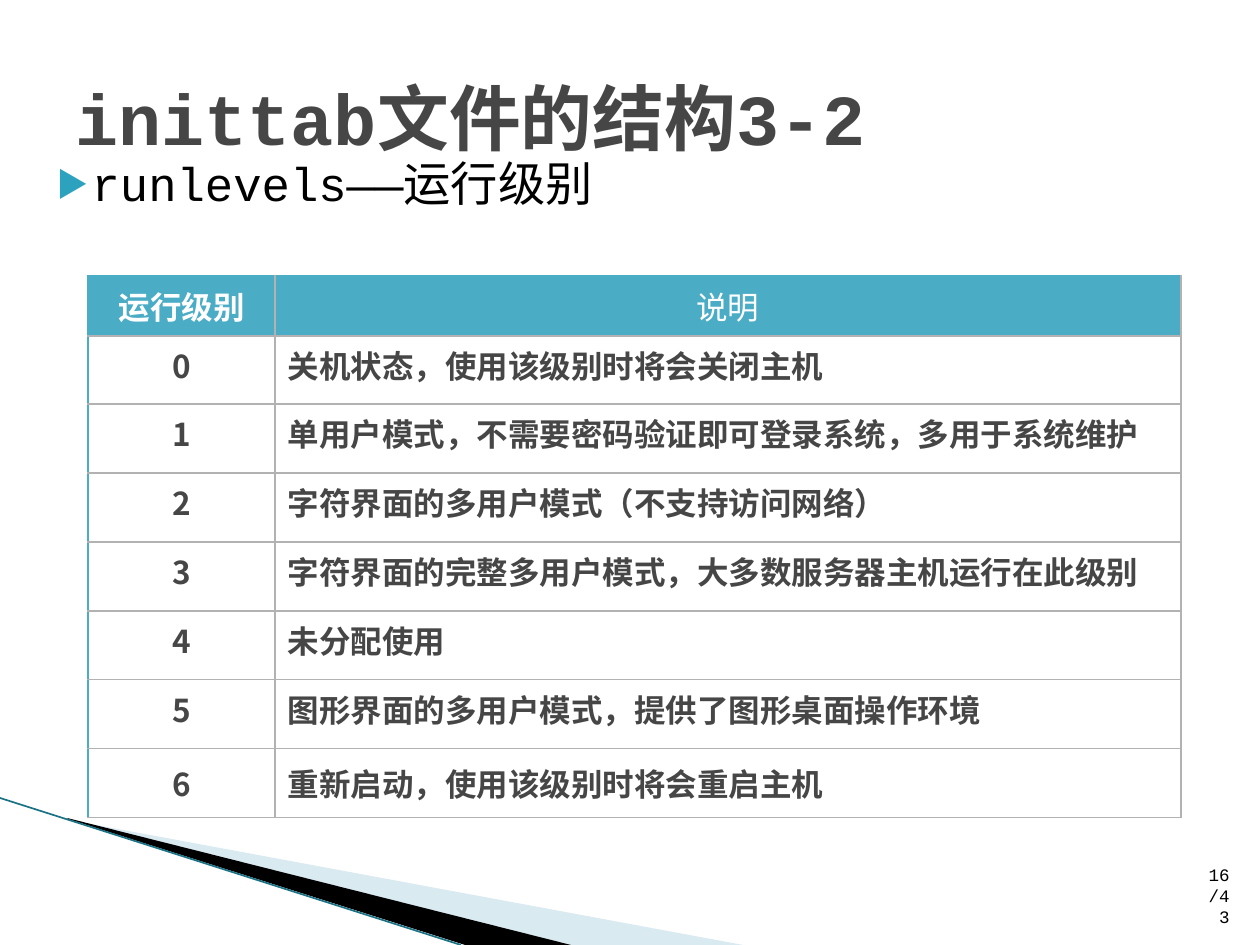
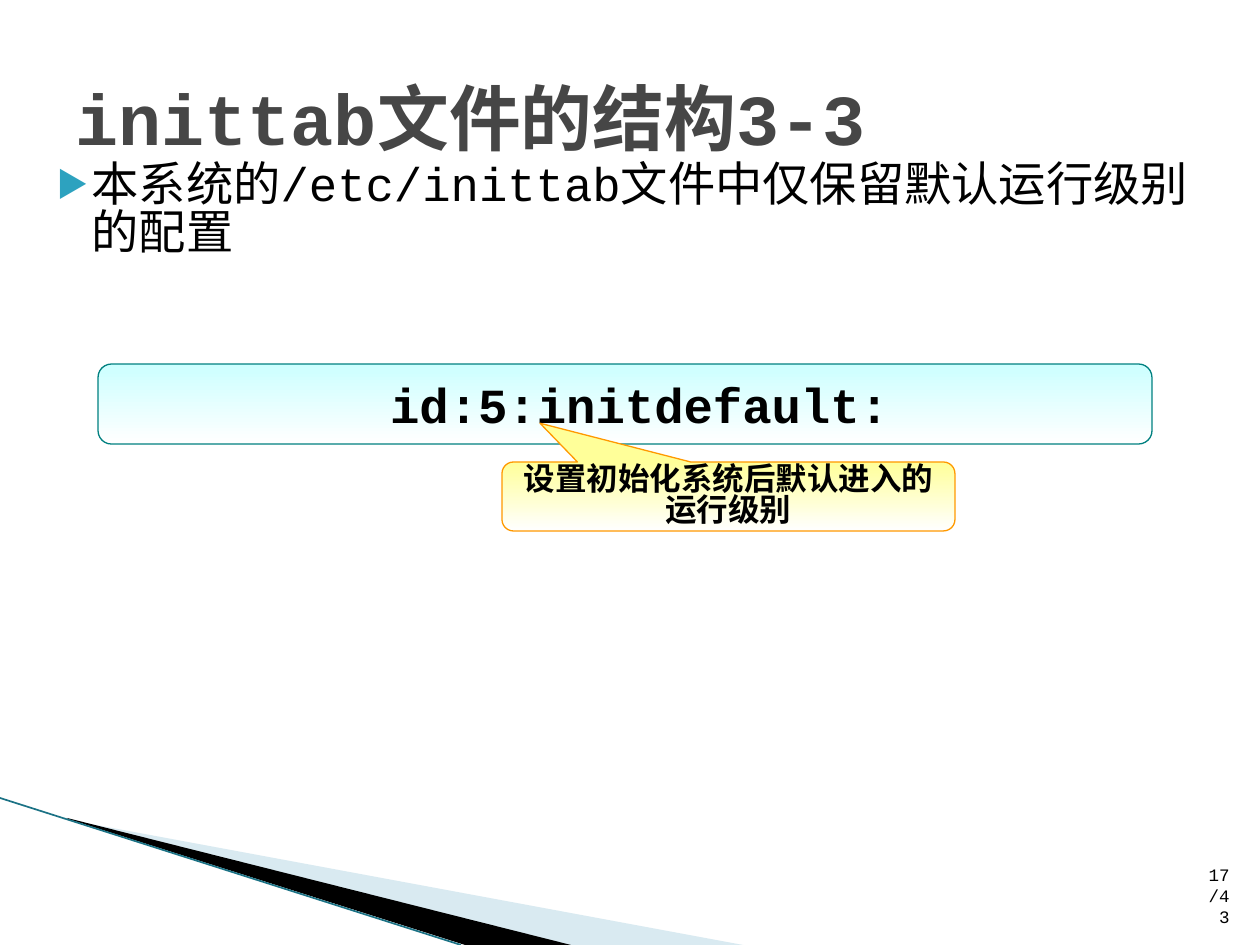
from lxml import etree
from pptx import Presentation
from pptx import util as u
from pptx.dml.color import RGBColor
from pptx.enum import shapes, text
from pptx.oxml import ns

PX = 914400 / 126
PAGE = (1260, 945)
COLOURS = {
    "white": "FFFFFF", "black": "000000", "heading": "464646",
    "bullet": "2DA2BF", "pale": "A0CBDC", "edge": "1B7285",
    "header": "4BACC6", "grid": "B2B2B2",
    "aqua": "CCFFFF", "teal": "008080", "yellow": "FFFF99", "orange": "FF9900",
}
MONO = "Courier New"
SANS = "Noto Sans CJK SC"
TIGHT = 0.83
TITLE_BOX = (63, 38, 1134, 158)
NUMBER_BOX = (1192, 883, 50, 50)
RUN_LEVELS = [
    "关机状态，使用该级别时将会关闭主机",
    "单用户模式，不需要密码验证即可登录系统，多用于系统维护",
    "字符界面的多用户模式（不支持访问网络）",
    "字符界面的完整多用户模式，大多数服务器主机运行在此级别",
    "未分配使用",
    "图形界面的多用户模式，提供了图形桌面操作环境",
    "重新启动，使用该级别时将会重启主机",
]


def emu(*lengths):
    return [u.Emu(round(length * PX)) for length in lengths]


def rgb(name):
    return RGBColor.from_string(COLOURS[name])


def add_child(parent, tag, **attributes):
    return etree.SubElement(parent, ns.qn(tag), attributes)


def place(shape, box):
    shape.left, shape.top, shape.width, shape.height = emu(*box)


def write(frame, words, size, colour, font=MONO, bold=False,
          align=text.PP_ALIGN.LEFT, anchor=text.MSO_ANCHOR.TOP):
    frame.text = words
    frame.word_wrap = True
    frame.auto_size = text.MSO_AUTO_SIZE.NONE
    frame.vertical_anchor = anchor
    return style(frame.paragraphs[0], size, colour, font, bold, align)


def style(para, size, colour, font, bold, align):
    para.alignment = align
    for span in para.runs:
        span.font.size = u.Pt(size)
        span.font.bold = bold
        span.font.color.rgb = rgb(colour)
        span.font.name = font
        add_child(span.font._element, "a:ea", typeface=SANS)
    return para


def add_wedge(page, points, colour, alpha=None):
    start, *others = [emu(*point) for point in points]
    builder = page.shapes.build_freeform(*start)
    builder.add_line_segments(others, close=True)
    wedge = builder.convert_to_shape()
    wedge.shadow.inherit = False
    wedge.fill.solid()
    wedge.fill.fore_color.rgb = rgb(colour)
    wedge.line.fill.background()
    if alpha:
        fill_colour = wedge._element.spPr.find(".//" + ns.qn("a:srgbClr"))
        add_child(fill_colour, "a:alpha", val=str(alpha * 1000))


def add_corner(page):
    bottom = PAGE[1]
    add_wedge(page, [(69, 820), (743, bottom), (570, bottom), (69, 819)], "pale", 40)
    add_wedge(page, [(67, 818), (571, bottom), (465, bottom), (68, 819)], "black")
    edge = page.shapes.add_connector(
        shapes.MSO_CONNECTOR.STRAIGHT, *emu(0, 798, 461, bottom))
    edge.line.color.rgb = rgb("edge")
    edge.line.width = u.Pt(0.95)
    add_child(edge._element.spPr, "a:effectLst")


def add_bullet(para):
    properties = para._p.get_or_add_pPr()
    properties.set("marL", str(emu(50)[0]))
    properties.set("indent", str(emu(-35)[0]))
    add_child(add_child(properties, "a:buClr"), "a:srgbClr", val=COLOURS["bullet"])
    add_child(properties, "a:buSzPct", val="68000")
    add_child(properties, "a:buFont", typeface=SANS)
    add_child(properties, "a:buChar", char="▶")


def add_page(deck, heading, point, number, body_height):
    page = deck.slides.add_slide(deck.slide_layouts[1])
    add_corner(page)
    title, body = page.placeholders
    place(title, TITLE_BOX)
    write(title.text_frame, heading, 41, "heading", bold=True,
          anchor=text.MSO_ANCHOR.MIDDLE)
    place(body, (29, 158, 1172, body_height))
    para = write(body.text_frame, point, 27, "black")
    para.space_before = u.Pt(2)
    para.line_spacing = TIGHT
    add_bullet(para)
    footer = page.shapes.add_textbox(*emu(*NUMBER_BOX))
    write(footer.text_frame, f"{number}/43", 10, "black",
          align=text.PP_ALIGN.RIGHT, anchor=text.MSO_ANCHOR.BOTTOM)
    return page


def set_borders(cell, left, top):
    properties = cell._tc.get_or_add_tcPr()
    sides = {"L": left, "R": "grid", "T": top, "B": "grid"}
    for side, colour in sides.items():
        border = add_child(properties, f"a:ln{side}", w=str(u.Pt(1)))
        add_child(add_child(border, "a:solidFill"), "a:srgbClr", val=COLOURS[colour])


def add_level_table(page, box):
    left, top, width, height = box
    rows = [("运行级别", "说明")] + [(str(i), words) for i, words in enumerate(RUN_LEVELS)]
    table = page.shapes.add_table(len(rows), 2, *emu(*box)).table
    table.first_row = table.horz_banding = False
    level_width, header_height, first_height = 187, 60, 68
    table.columns[0].width, table.columns[1].width = emu(level_width, width - level_width)
    row_height = (height - header_height - first_height) / (len(rows) - 2)
    heights = [header_height, first_height] + [row_height] * (len(rows) - 2)
    for i, values in enumerate(rows):
        table.rows[i].height = emu(heights[i])[0]
        is_header = i == 0
        is_middle = i in (0, len(rows) - 1)
        for j, words in enumerate(values):
            cell = table.cell(i, j)
            cell.text = words
            cell.vertical_anchor = (
                text.MSO_ANCHOR.MIDDLE if is_middle else text.MSO_ANCHOR.TOP)
            centred = is_header or j == 0
            style(cell.text_frame.paragraphs[0], 18,
                  "white" if is_header else "heading", SANS,
                  not (is_header and j == 1),
                  text.PP_ALIGN.CENTER if centred else text.PP_ALIGN.LEFT)
            set_borders(cell, "grid" if j else "header",
                        "header" if is_header else "grid")
            if is_header:
                cell.fill.solid()
                cell.fill.fore_color.rgb = rgb("header")
            else:
                cell.fill.background()


def add_panel(page, kind, box, tint, outline, adjustments):
    panel = page.shapes.add_shape(kind, *emu(*box))
    panel.shadow.inherit = False
    for i, value in enumerate(adjustments):
        panel.adjustments[i] = value
    panel.fill.gradient()
    panel.fill.gradient_angle = 270
    for stop, colour, position in zip(panel.fill.gradient_stops, (tint, "white"), (0, 1)):
        stop.color.rgb = rgb(colour)
        stop.position = position
    panel.line.color.rgb = rgb(outline)
    panel.line.width = u.Pt(0.75)
    return panel.text_frame


def add_default_level(page, box):
    left, top, width, height = box
    setting = add_panel(page, shapes.MSO_SHAPE.ROUNDED_RECTANGLE, box,
                        "aqua", "teal", [0.167])
    para = write(setting, " id:5:initdefault:", 28, "black", bold=True,
                 align=text.PP_ALIGN.CENTER)
    para.space_before = u.Pt(6.7)
    callout = add_panel(page, shapes.MSO_SHAPE.ROUNDED_RECTANGULAR_CALLOUT,
                        (left + 404, top + 98, 453, 69),
                        "yellow", "orange", [-0.416, -1.062, 0.167])
    para = write(callout, "设置初始化系统后默认进入的运行级别", 18, "black", SANS, True,
                 text.PP_ALIGN.CENTER, text.MSO_ANCHOR.MIDDLE)
    para.line_spacing = TIGHT


def main():
    deck = Presentation()
    deck.slide_width, deck.slide_height = emu(*PAGE)
    levels = add_page(deck, "inittab文件的结构3-2", "runlevels——运行级别", 16, 532)
    add_level_table(levels, (88, 276, 1093, 542))
    default = add_page(deck, "inittab文件的结构3-3",
                       "本系统的/etc/inittab文件中仅保留默认运行级别的配置", 17, 227)
    add_default_level(default, (98, 364, 1054, 80))
    deck.save("out.pptx")


if __name__ == "__main__":
    main()
